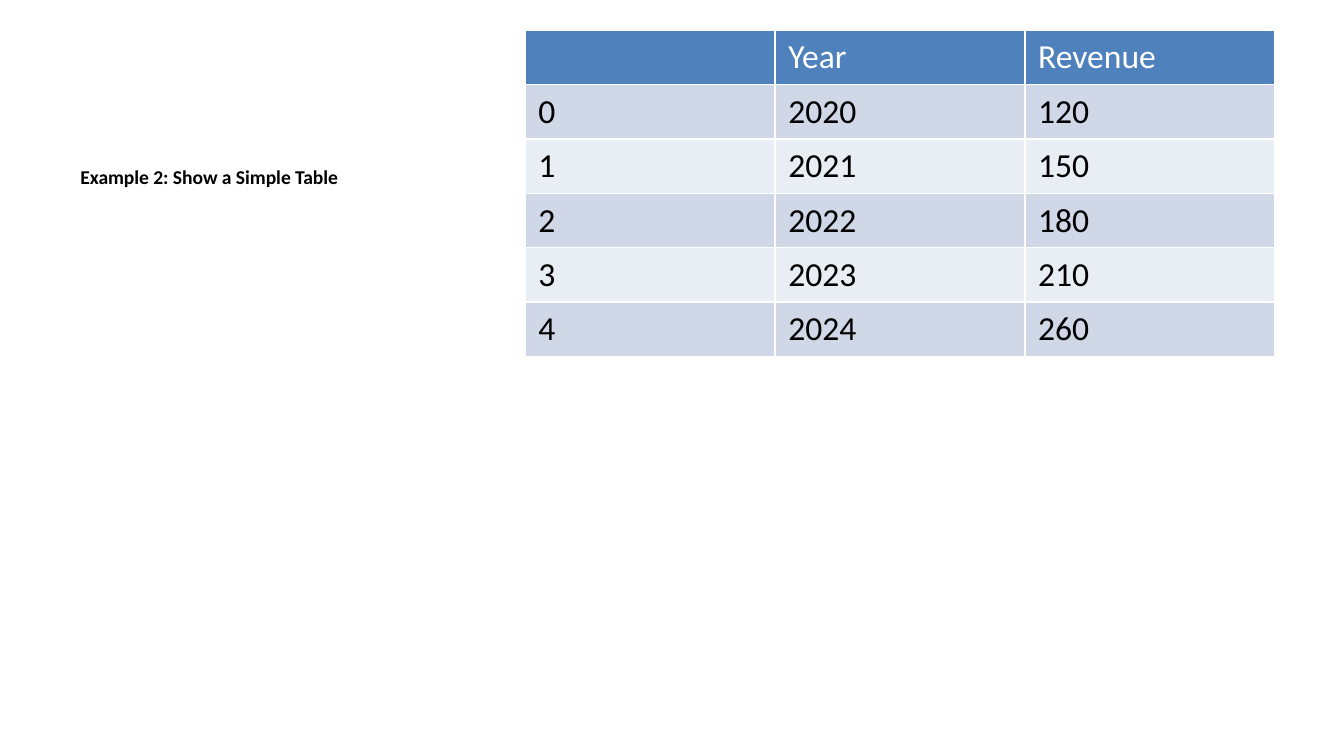
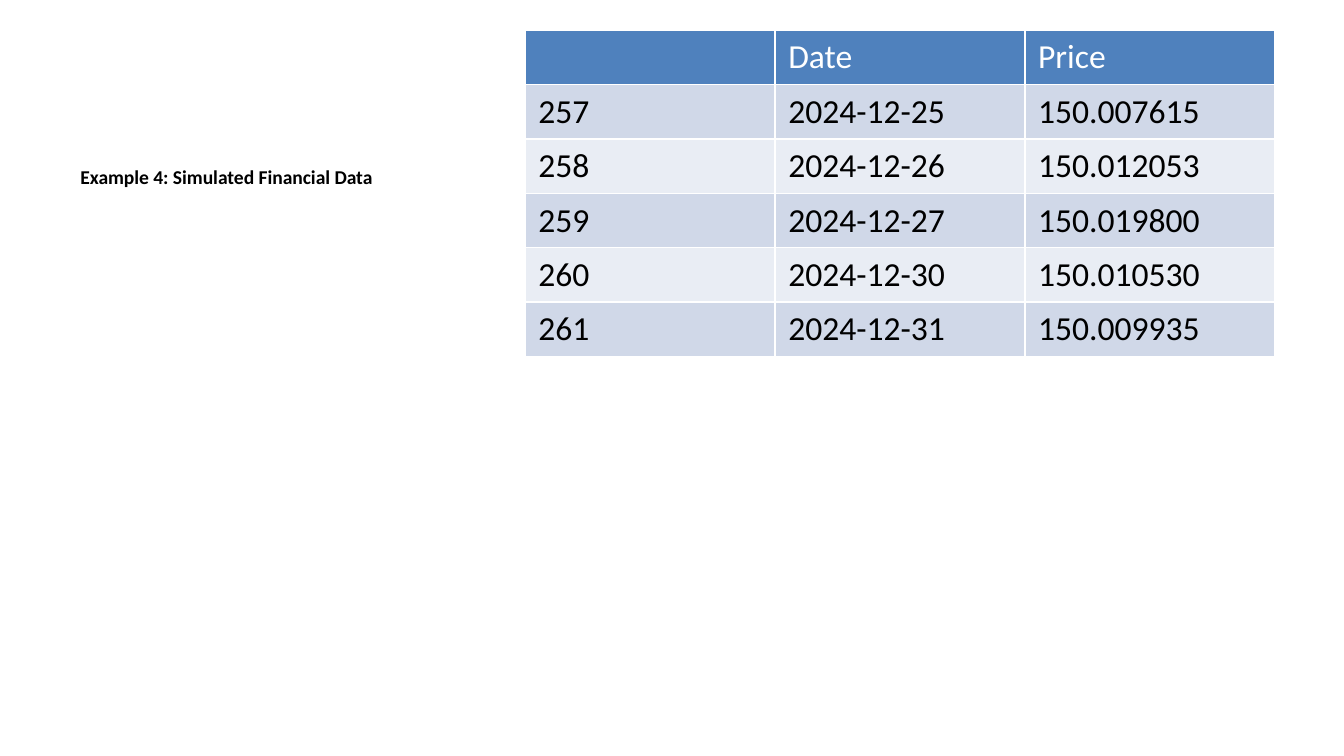
from collections import namedtuple

import pptx
import pptx.dml.color
import pptx.util

Cm = pptx.util.Cm
Pt = pptx.util.Pt
RGBColor = pptx.dml.color.RGBColor

HEADER_BLUE = RGBColor(0x4F, 0x81, 0xBD)
BAND_DARK = RGBColor(0xD0, 0xD8, 0xE8)
BAND_LIGHT = RGBColor(0xE9, 0xED, 0xF4)
WHITE = RGBColor(0xFF, 0xFF, 0xFF)
BLACK = RGBColor(0x00, 0x00, 0x00)
FONT = "Calibri"

Box = namedtuple("Box", "left top width height")
CAPTION_BOX = Box(Cm(1.27), Cm(3), Cm(8.36), Cm(9.78))
TABLE_BOX = Box(Cm(9.92), Cm(0.57), Cm(14.17), Cm(6.17))

REVENUE_ROWS = [
    ("", "Year", "Revenue"),
    ("0", "2020", "120"),
    ("1", "2021", "150"),
    ("2", "2022", "180"),
    ("3", "2023", "210"),
    ("4", "2024", "260"),
]
PRICE_ROWS = [
    ("", "Date", "Price"),
    ("257", "2024-12-25", "150.007615"),
    ("258", "2024-12-26", "150.012053"),
    ("259", "2024-12-27", "150.019800"),
    ("260", "2024-12-30", "150.010530"),
    ("261", "2024-12-31", "150.009935"),
]


def set_text(para, text, size, color, bold):
    para.text = text
    para.font.name = FONT
    para.font.size = Pt(size)
    para.font.color.rgb = color
    para.font.bold = bold


def add_caption(page, box, text):
    frame = page.shapes.add_textbox(*box).text_frame
    frame.word_wrap = True
    para = frame.paragraphs[0]
    para.space_before = Pt(30)
    set_text(para, text, 10.5, BLACK, True)


def row_colors(index):
    if index == 0:
        return HEADER_BLUE, WHITE
    return (BAND_DARK if index % 2 else BAND_LIGHT), BLACK


def add_data_table(page, box, rows):
    table = page.shapes.add_table(len(rows), len(rows[0]), *box).table
    for index, values in enumerate(rows):
        fill_color, text_color = row_colors(index)
        for cell, value in zip(table.rows[index].cells, values):
            cell.fill.solid()
            cell.fill.fore_color.rgb = fill_color
            set_text(cell.text_frame.paragraphs[0], value, 18, text_color, False)


def add_example_page(deck, caption, rows):
    page = deck.slides.add_slide(deck.slide_layouts[6])
    add_caption(page, CAPTION_BOX, caption)
    add_data_table(page, TABLE_BOX, rows)


def main():
    deck = pptx.Presentation()
    deck.slide_width = Cm(25.4)
    deck.slide_height = Cm(14.29)
    add_example_page(deck, "Example 2: Show a Simple Table", REVENUE_ROWS)
    add_example_page(deck, "Example 4: Simulated Financial Data", PRICE_ROWS)
    deck.save("out.pptx")


if __name__ == "__main__":
    main()
